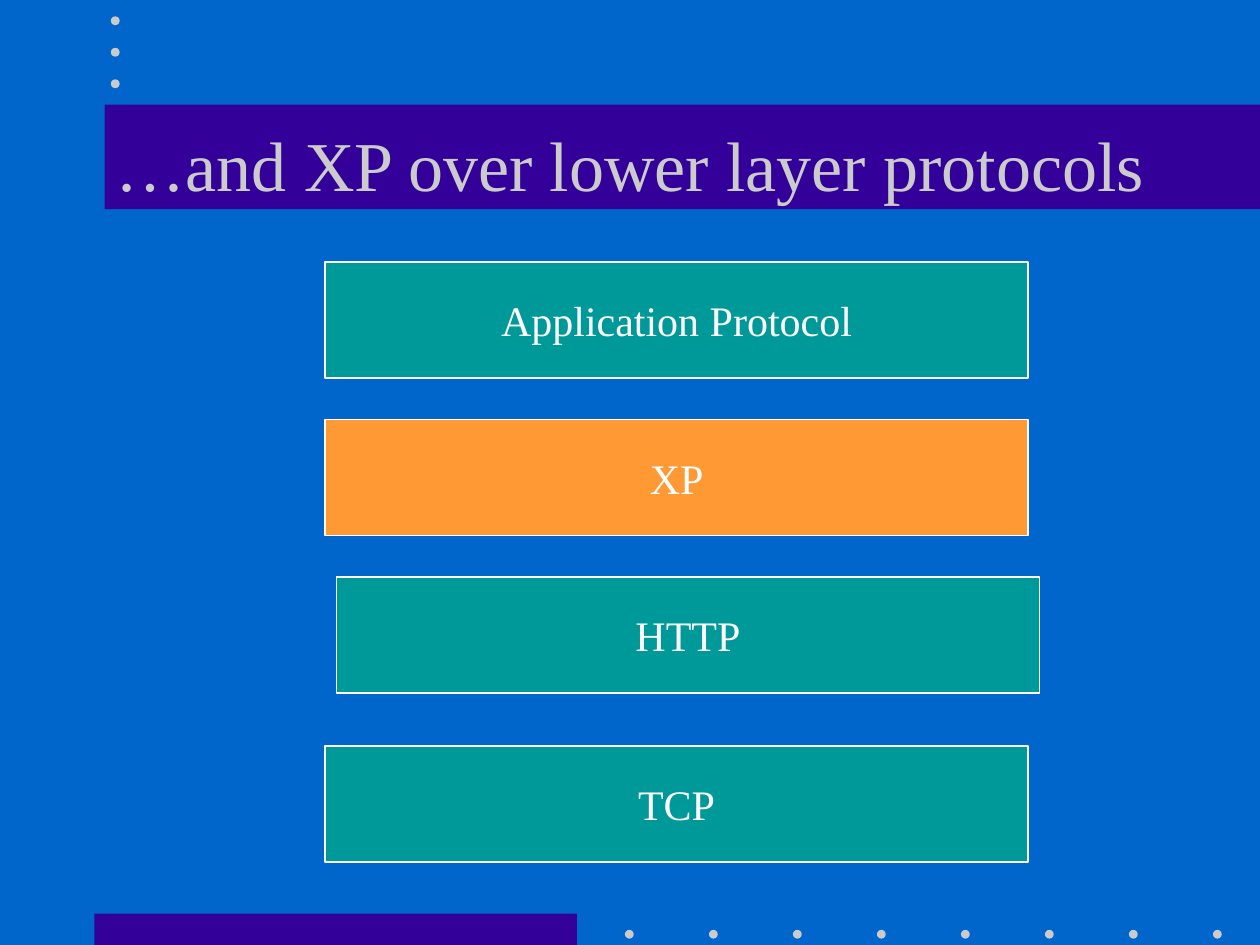
from pptx import Presentation
from pptx.dml.color import RGBColor
from pptx.enum.shapes import MSO_SHAPE
from pptx.enum.text import MSO_ANCHOR, PP_ALIGN
from pptx.util import Inches, Pt

RECT, OVAL = MSO_SHAPE.RECTANGLE, MSO_SHAPE.OVAL
MIDDLE, CENTER = MSO_ANCHOR.MIDDLE, PP_ALIGN.CENTER

BLUE = RGBColor(0x00, 0x66, 0xCC)
PURPLE = RGBColor(0x33, 0x00, 0x99)
GREY = RGBColor(0xCB, 0xCB, 0xCB)
TEAL = RGBColor(0x00, 0x99, 0x99)
ORANGE = RGBColor(0xFF, 0x99, 0x33)
WHITE = RGBColor(0xFF, 0xFF, 0xFF)

FONT = "Times New Roman"
DOT_SIZE = 0.07
LAYER_WIDTH, LAYER_HEIGHT = 5.58, 0.92

# Protocol stack from top to bottom: name, left, top, fill
LAYERS = [
    ("Application Protocol", 2.58, 2.08, TEAL),
    ("XP", 2.58, 3.33, ORANGE),
    ("HTTP", 2.67, 4.58, TEAL),
    ("TCP", 2.58, 5.92, TEAL),
]


def add_filled(s, kind, left, top, width, height, color):
    sp = s.shapes.add_shape(kind, Inches(left), Inches(top),
                            Inches(width), Inches(height))
    sp.shadow.inherit = False
    sp.fill.solid()
    sp.fill.fore_color.rgb = color
    sp.line.fill.background()
    return sp


def add_dot(s, left, top):
    add_filled(s, OVAL, left, top, DOT_SIZE, DOT_SIZE, GREY)


def set_text(sp, text, size, color):
    tf = sp.text_frame
    tf.text = text
    tf.vertical_anchor = MIDDLE
    p = tf.paragraphs[0]
    p.alignment = CENTER
    p.font.name = FONT
    p.font.size = Pt(size)
    p.font.color.rgb = color


def add_layer(s, name, left, top, color):
    sp = add_filled(s, RECT, left, top, LAYER_WIDTH, LAYER_HEIGHT, color)
    sp.line.color.rgb = WHITE
    sp.line.width = Pt(1)
    set_text(sp, name, 24, WHITE)
    sp.text_frame.word_wrap = False


def place_title(s, text):
    title = s.shapes.title
    title.left, title.top = Inches(0.75), Inches(0.67)
    title.width, title.height = Inches(8.5), Inches(1.25)
    set_text(title, text, 40, GREY)
    # Bring the title in front of its band
    s.shapes._spTree.append(title._element)


def main():
    prs = Presentation()
    prs.slide_width, prs.slide_height = Inches(10), Inches(7.5)
    s = prs.slides.add_slide(prs.slide_layouts[5])
    s.background.fill.solid()
    s.background.fill.fore_color.rgb = BLUE

    # Footer band and row of dots
    add_filled(s, RECT, 0.75, 7.25, 3.83, 0.25, PURPLE)
    for i in range(8):
        add_dot(s, 4.96 + i * 2 / 3, 7.38)

    # Title band and column of dots
    add_filled(s, RECT, 0.83, 0.83, 9.17, 0.83, PURPLE)
    for i in range(3):
        add_dot(s, 0.88, 0.13 + i * 0.25)
    place_title(s, "…and XP over lower layer protocols")

    # Protocol stack
    for layer in LAYERS:
        add_layer(s, *layer)

    prs.save("out.pptx")


if __name__ == "__main__":
    main()
